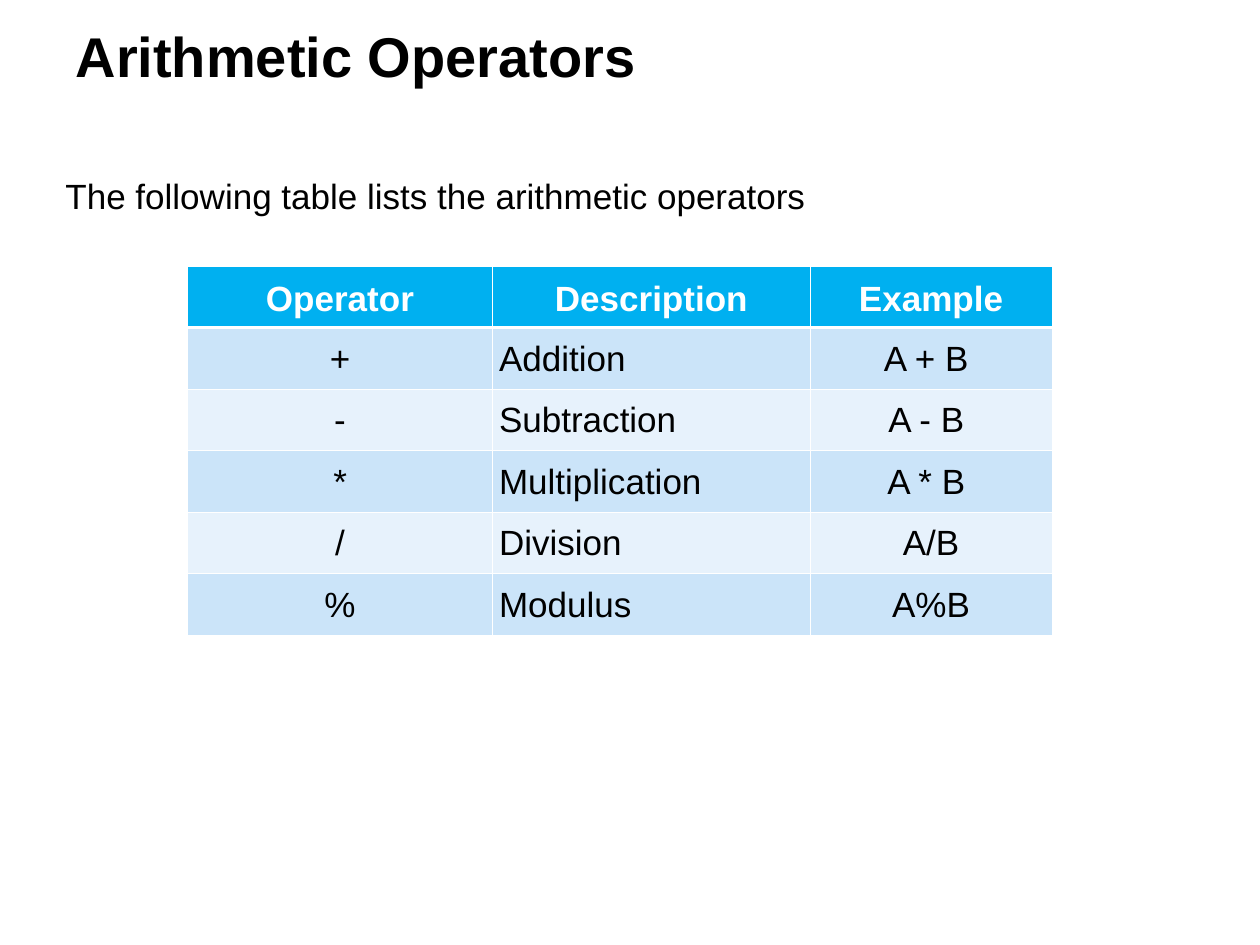
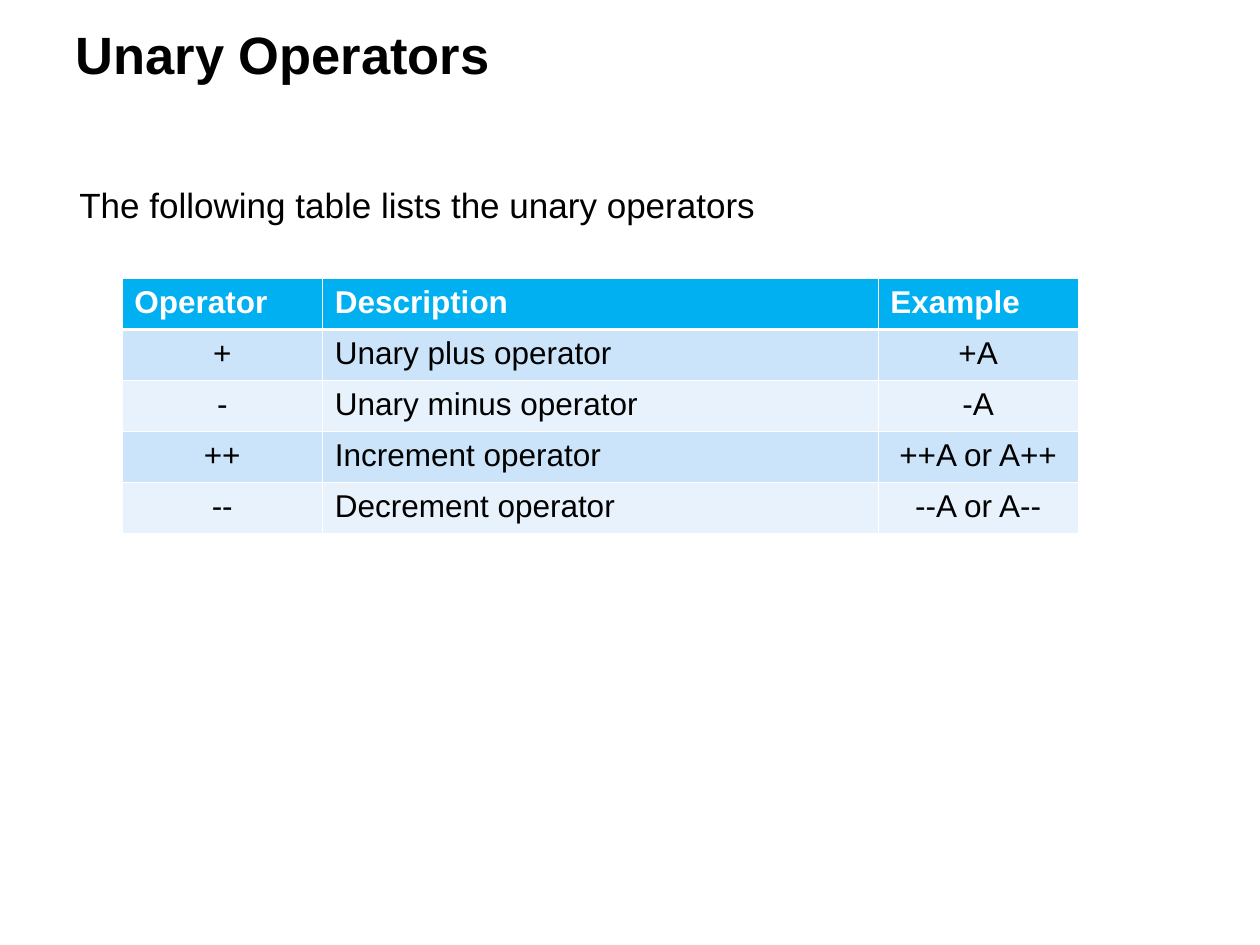
import pptx
import pptx.dml.color
import pptx.enum.text
import pptx.oxml.ns
import pptx.util
from lxml import etree

Cm = pptx.util.Cm
Pt = pptx.util.Pt
ALIGN = pptx.enum.text.PP_ALIGN
ANCHOR = pptx.enum.text.MSO_ANCHOR

FONT = "Arial"
BLACK, WHITE = "000000", "FFFFFF"
HEADER_FILL = "00B0F0"
BAND_FILLS = ("E7F2FC", "CBE4F9")
THIN_LINE, HEADER_LINE = 0.45, 1.47
TEXT_WIDTH = 22.86
HEADINGS = ("Operator", "Description", "Example")

PAGES = [
    {
        "title": "Arithmetic Operators", "title_size": 32, "title_height": 1.63,
        "intro": "The following table lists the arithmetic operators",
        "intro_at": (1.07, 3.4),
        "table_at": (3.78, 5.36), "columns": (6.15, 6.4, 4.88), "row_height": 1.24,
        "size": 20, "line_spacing": 1.15, "margins": (0.13, 0.13),
        "header_align": ALIGN.CENTER, "header_anchor": ANCHOR.MIDDLE,
        "operators": [
            ("+", "Addition", "A + B "),
            ("-", "Subtraction", "A - B "),
            ("*", "Multiplication", "A * B "),
            ("/", "Division", "A/B"),
            ("%", "Modulus", "A%B"),
        ],
    },
    {
        "title": "Unary Operators", "title_size": 30, "title_height": 1.55,
        "intro": "The following table lists the unary operators",
        "intro_at": (1.35, 3.58),
        "table_at": (2.46, 5.61), "columns": (4.04, 11.2, 4.04), "row_height": 1.03,
        "size": 18, "line_spacing": 1.0, "margins": (0.25, 0.13),
        "header_align": ALIGN.LEFT, "header_anchor": ANCHOR.TOP,
        "operators": [
            ("+", "Unary plus operator", "+A"),
            ("-", "Unary minus operator", "-A"),
            ("++", "Increment operator", "++A or A++"),
            ("--", "Decrement operator", "--A or A--"),
        ],
    },
]


def color(value):
    return pptx.dml.color.RGBColor.from_string(value)


def write(frame, text, size, ink=BLACK, bold=False, align=ALIGN.LEFT):
    frame.text = text
    para = frame.paragraphs[0]
    para.alignment = align
    for span in para.runs:
        span.font.name = FONT
        span.font.size = Pt(size)
        span.font.bold = bold
        span.font.color.rgb = color(ink)
    return para


def add_borders(cell, top, bottom):
    properties = cell._tc.get_or_add_tcPr()
    widths = {"lnL": THIN_LINE, "lnR": THIN_LINE, "lnT": top, "lnB": bottom}
    for side, width in widths.items():
        line = etree.SubElement(properties, pptx.oxml.ns.qn("a:" + side), w=str(Pt(width)))
        fill = etree.SubElement(line, pptx.oxml.ns.qn("a:solidFill"))
        etree.SubElement(fill, pptx.oxml.ns.qn("a:srgbClr"), val=WHITE)


def add_title(page, content):
    title = page.shapes.title
    title.left, title.top = Cm(1.27), Cm(0.3)
    title.width, title.height = Cm(TEXT_WIDTH), Cm(content["title_height"])
    write(title.text_frame, content["title"], content["title_size"], bold=True)


def add_intro(page, content):
    left, top = content["intro_at"]
    box = page.shapes.add_textbox(Cm(left), Cm(top), Cm(TEXT_WIDTH), Cm(1.12))
    box.text_frame.word_wrap = True
    write(box.text_frame, content["intro"], 20)


def format_cell(cell, text, row, column, content):
    header = row == 0
    side, edge = content["margins"]
    cell.margin_left = cell.margin_right = Cm(side)
    cell.margin_top = cell.margin_bottom = Cm(edge)
    cell.vertical_anchor = content["header_anchor"] if header else ANCHOR.TOP
    add_borders(cell, HEADER_LINE if row == 1 else THIN_LINE,
                HEADER_LINE if header else THIN_LINE)
    cell.fill.solid()
    cell.fill.fore_color.rgb = color(HEADER_FILL if header else BAND_FILLS[row % 2])
    body_align = ALIGN.LEFT if column == 1 else ALIGN.CENTER
    para = write(cell.text_frame, text, content["size"], WHITE if header else BLACK,
                 header, content["header_align"] if header else body_align)
    para.line_spacing = content["line_spacing"]


def add_operator_table(page, content):
    rows = [HEADINGS] + content["operators"]
    left, top = content["table_at"]
    columns, height = content["columns"], content["row_height"]
    table = page.shapes.add_table(len(rows), len(columns), Cm(left), Cm(top),
                                  Cm(sum(columns)), Cm(height * len(rows))).table
    table.horz_banding = False
    for column, width in zip(table.columns, columns):
        column.width = Cm(width)
    for row, texts in enumerate(rows):
        table.rows[row].height = Cm(height)
        for column, text in enumerate(texts):
            format_cell(table.cell(row, column), text, row, column, content)


def main():
    deck = pptx.Presentation()
    deck.slide_width, deck.slide_height = Cm(25.4), Cm(19.05)
    title_only = deck.slide_layouts.get_by_name("Title Only")
    for content in PAGES:
        page = deck.slides.add_slide(title_only)
        add_title(page, content)
        add_operator_table(page, content)
        add_intro(page, content)
    deck.save("out.pptx")


if __name__ == "__main__":
    main()
